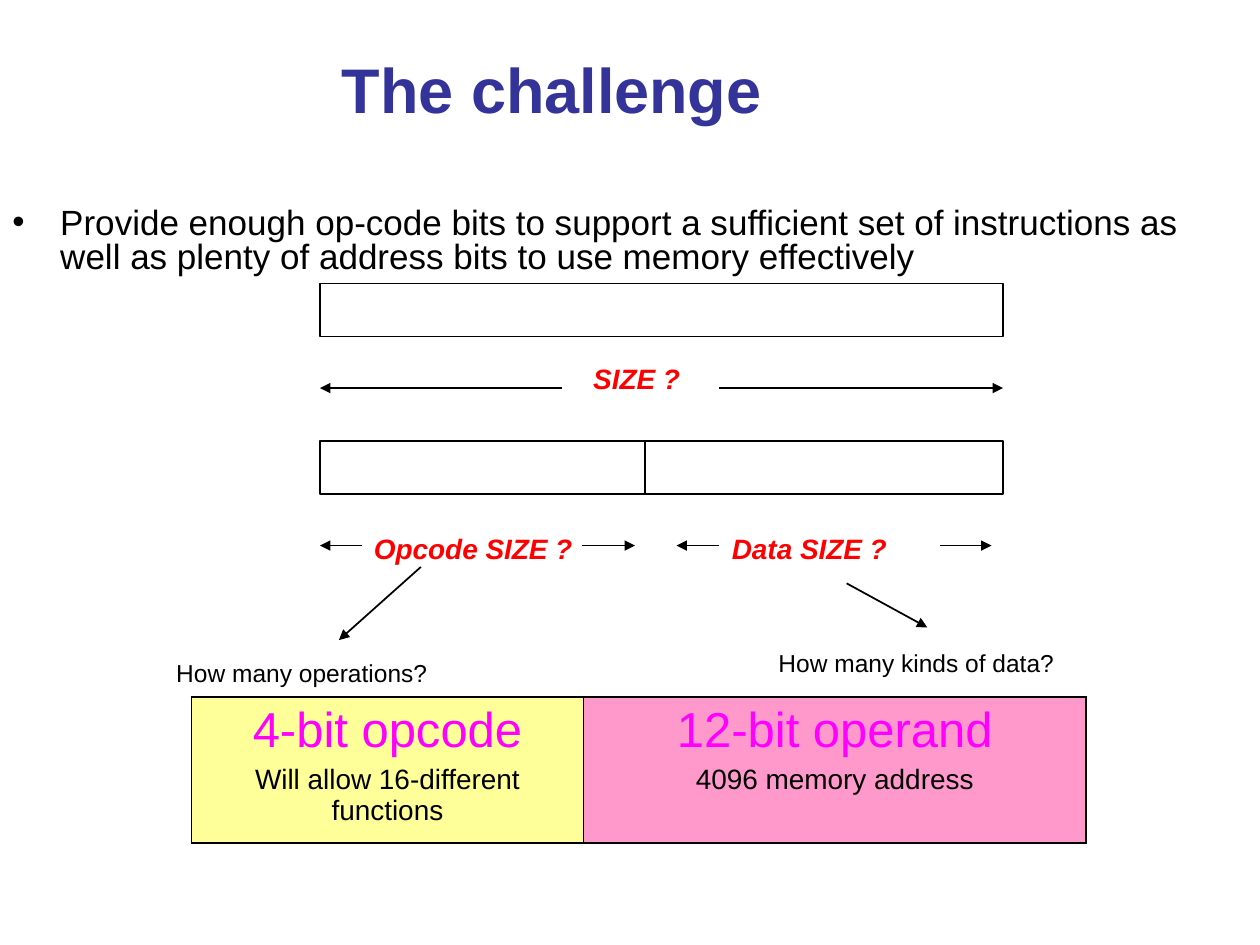
from pptx import Presentation, util as u
from pptx.dml.color import RGBColor
from pptx.enum import shapes, text
from pptx.oxml import parse_xml
from pptx.oxml.ns import nsdecls
from pptx.oxml.xmlchemy import OxmlElement

BLACK, RED, NAVY, MAGENTA = "000000", "FF0000", "333399", "FF00FF"
THIN, THICK = 0.45, 1.08


def color(value):
    return RGBColor.from_string(value)


class Board:
    """Holds the current slide and the style of its elements."""
    font = "Arial"
    line_width = u.Pt(1)

    def __init__(self, slide):
        self.slide = slide

    def set_words(self, paragraph, words, size, ink=BLACK, bold=False, italic=False):
        paragraph.text = words
        for run in paragraph.runs:
            run.font.name = self.font
            run.font.size = u.Pt(size)
            run.font.color.rgb = color(ink)
            run.font.bold = bold
            run.font.italic = italic

    def label(self, words, left, top, width, height, size, wrap=True, **style):
        box = self.slide.shapes.add_textbox(*map(u.Inches, (left, top, width, height)))
        box.text_frame.word_wrap = wrap
        paragraph = box.text_frame.paragraphs[0]
        self.set_words(paragraph, words, size, **style)
        return box.text_frame, paragraph

    def question(self, words, left, top, width, wrap=True):
        self.label(words, left, top, width, 0.37, 16, wrap, ink=RED, bold=True, italic=True)

    def bullet(self, paragraph, indent):
        properties = paragraph._p.get_or_add_pPr()
        properties.set("marL", str(u.Inches(indent)))
        properties.set("indent", str(-u.Inches(indent)))
        properties.append(parse_xml(f'<a:buFont {nsdecls("a")} typeface="{self.font}"/>'))
        properties.append(parse_xml(f'<a:buChar {nsdecls("a")} char="•"/>'))

    def bar(self, left, top, width, height):
        shape = self.slide.shapes.add_shape(
            shapes.MSO_SHAPE.RECTANGLE, *map(u.Inches, (left, top, width, height)))
        shape.shadow.inherit = False
        shape.fill.solid()
        shape.fill.fore_color.rgb = color("FFFFFF")
        shape.line.color.rgb = color(BLACK)
        shape.line.width = self.line_width

    def line(self, start, end, arrow=True):
        connector = self.slide.shapes.add_connector(
            shapes.MSO_CONNECTOR.STRAIGHT, *map(u.Inches, (*start, *end)))
        connector.line.color.rgb = color(BLACK)
        connector.line.width = self.line_width
        if arrow:
            head = OxmlElement("a:tailEnd")
            head.set("type", "triangle")
            connector.line._get_or_add_ln().append(head)
        connector._element.spPr.append(OxmlElement("a:effectLst"))

    def cell(self, cell, heading, detail, fill, left, right):
        cell.fill.solid()
        cell.fill.fore_color.rgb = color(fill)
        cell.margin_left = cell.margin_right = u.Inches(0.1)
        cell.margin_top = cell.margin_bottom = u.Inches(0.05)
        frame = cell.text_frame
        rows = ((frame.paragraphs[0], heading, 28, MAGENTA, 7),
                (frame.add_paragraph(), detail, 16, BLACK, 4))
        for paragraph, words, size, ink, space in rows:
            self.set_words(paragraph, words, size, ink)
            paragraph.alignment = text.PP_ALIGN.CENTER
            paragraph.space_before = u.Pt(space)
        borders = (("L", left), ("R", right), ("T", THICK), ("B", THICK))
        for position, (side, width) in enumerate(borders):
            cell._tc.get_or_add_tcPr().insert(position, parse_xml(
                f'<a:ln{side} {nsdecls("a")} w="{u.Pt(width)}"><a:solidFill>'
                f'<a:srgbClr val="{BLACK}"/></a:solidFill></a:ln{side}>'))

    def table(self, left, top, widths, height, cells):
        table = self.slide.shapes.add_table(
            1, len(widths), *map(u.Inches, (left, top, sum(widths), height))).table
        table.first_row = table.horz_banding = False
        for index, (width, content) in enumerate(zip(widths, cells)):
            table.columns[index].width = u.Inches(width)
            self.cell(table.cell(0, index), *content)


def main():
    presentation = Presentation()
    presentation.slide_width, presentation.slide_height = u.Inches(10), u.Inches(7.5)
    board = Board(presentation.slides.add_slide(presentation.slide_layouts[6]))

    # Title and statement
    frame, paragraph = board.label("The challenge", 0.53, 0.3, 7.7, 1.25, 36,
                                   ink=NAVY, bold=True)
    frame.margin_top = u.Inches(0.1)
    paragraph.alignment = text.PP_ALIGN.CENTER
    frame, paragraph = board.label(
        "Provide enough op-code bits to support a sufficient set of instructions as "
        "well as plenty of address bits to use memory effectively", 0, 1.61, 10, 0.8, 20)
    frame.margin_right = u.Inches(0.15)
    paragraph.line_spacing = 0.8
    paragraph.space_before = u.Pt(5)
    board.bullet(paragraph, 0.38)

    # Instruction word: whole, then split into opcode and data
    bar_left, bar_width, bar_height, split = 2.54, 5.42, 0.42, 5.12
    for top in (2.25, 3.5):
        board.bar(bar_left, top, bar_width, bar_height)
    board.line((split, 3.5), (split, 3.5 + bar_height), arrow=False)

    # Size arrows: height, start and end
    for y, start, end in ((3.08, 5.71, bar_left + bar_width), (3.08, 4.46, bar_left),
                          (4.33, 4.62, 5.04), (4.33, 2.87, bar_left),
                          (4.33, 7.46, 7.87), (4.33, 5.71, 5.37)):
        board.line((start, y), (end, y))
    board.question("SIZE ?", 4.61, 2.82, 0.89, wrap=False)
    board.question("Opcode SIZE ?", 2.87, 4.17, 1.83)
    board.question("Data SIZE ?", 5.71, 4.17, 1.83)

    # Follow-up questions
    board.line((3.34, 4.5), (2.69, 5.08))
    board.label("How many operations?", 1.3, 5.17, 2.42, 0.34, 14)
    board.line((6.72, 4.63), (7.36, 4.98))
    board.label("How many kinds of data?", 6.08, 5.09, 3.03, 0.34, 14)

    # Chosen split
    board.table(1.52, 5.53, (3.11, 3.99), 1.16, (
        ("4-bit opcode", "Will allow 16-different functions", "FFFF99", THICK, THIN),
        ("12-bit operand", "4096 memory address", "FF99CC", THIN, THICK)))

    presentation.save("out.pptx")


if __name__ == "__main__":
    main()
